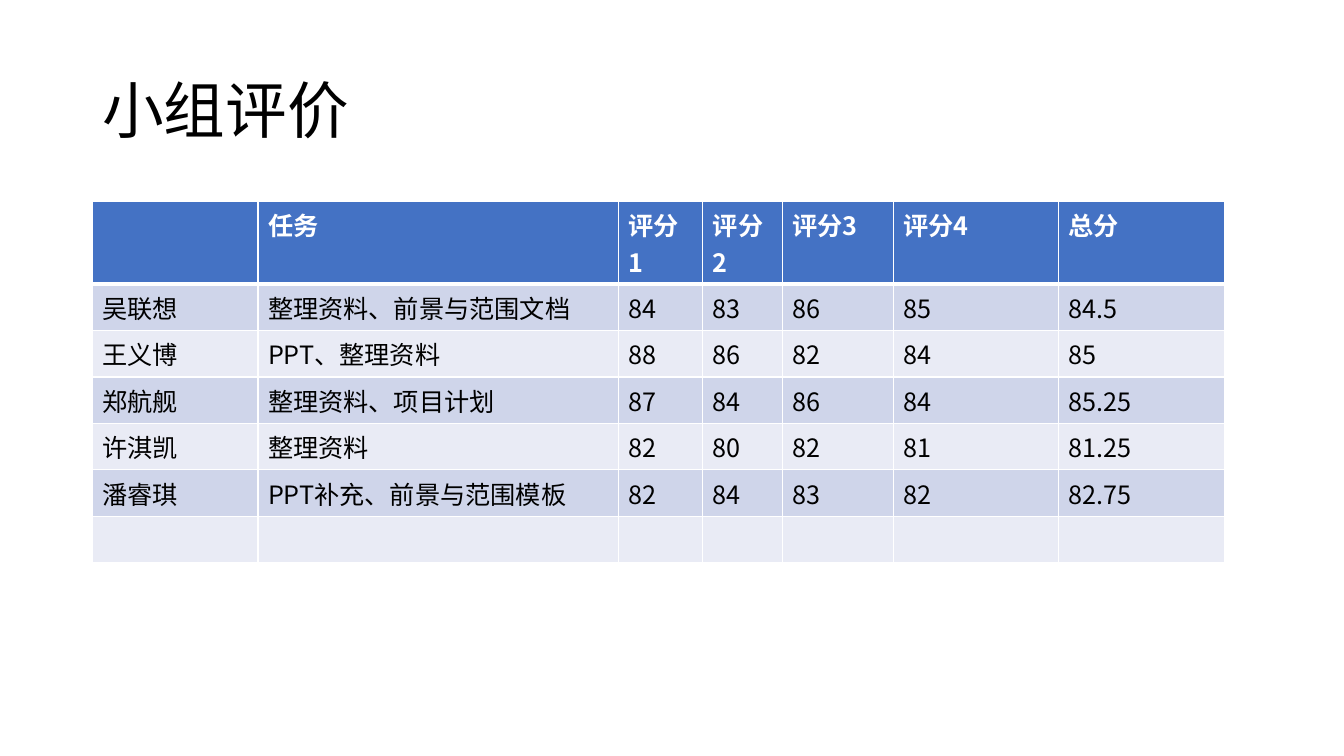
from lxml.etree import SubElement
from pptx import Presentation
from pptx.dml.color import RGBColor
from pptx.enum.text import MSO_ANCHOR
from pptx.oxml.ns import qn
from pptx.util import Cm, Pt

FONT = "Noto Sans CJK SC"
BLACK = RGBColor(0x00, 0x00, 0x00)
WHITE = RGBColor(0xFF, 0xFF, 0xFF)
BLUE = RGBColor(0x44, 0x72, 0xC4)
BANDS = (RGBColor(0xE9, 0xEB, 0xF5), RGBColor(0xCF, 0xD5, 0xEA))

WIDTHS = (4.17, 9.08, 2.13, 2.01, 2.79, 4.17, 4.17)
HEIGHTS = (2.08,) + (1.17,) * 6
ROWS = (
    ("", "任务", "评分1", "评分2", "评分3", "评分4", "总分"),
    ("吴联想", "整理资料、前景与范围文档", "84", "83", "86", "85", "84.5"),
    ("王义博", "PPT、整理资料", "88", "86", "82", "84", "85"),
    ("郑航舰", "整理资料、项目计划", "87", "84", "86", "84", "85.25"),
    ("许淇凯", "整理资料", "82", "80", "82", "81", "81.25"),
    ("潘睿琪", "PPT补充、前景与范围模板", "82", "84", "83", "82", "82.75"),
    ("",) * 7,
)


def write(frame, text, size, color, bold=False):
    run = frame.paragraphs[0].add_run()
    run.text = text
    style = {"name": FONT, "size": Pt(size), "bold": bold}
    for key, value in style.items():
        setattr(run.font, key, value)
    run.font.color.rgb = color
    # East Asian text takes its own typeface entry
    SubElement(run.font._element, qn("a:ea"), typeface=FONT)


def rule(cell, side, width):
    props = cell._tc.get_or_add_tcPr()
    line = SubElement(props, qn(f"a:ln{side}"), w=str(Pt(width)))
    fill = SubElement(line, qn("a:solidFill"))
    SubElement(fill, qn("a:srgbClr"), val=str(WHITE))


def add_title(slide, text):
    box = slide.shapes.add_textbox(Cm(2.33), Cm(1.02), Cm(29.21), Cm(3.68))
    frame = box.text_frame
    frame.word_wrap = True
    frame.vertical_anchor = MSO_ANCHOR.MIDDLE
    frame.paragraphs[0].line_spacing = 0.9
    write(frame, text, 44, BLACK)


def add_scores(slide):
    table = slide.shapes.add_table(
        len(ROWS), len(WIDTHS), Cm(2.33), Cm(5.08),
        Cm(sum(WIDTHS)), Cm(sum(HEIGHTS))).table
    for col, width in zip(table.columns, WIDTHS):
        col.width = Cm(width)
    for i, (row, texts) in enumerate(zip(table.rows, ROWS)):
        row.height = Cm(HEIGHTS[i])
        head = i == 0
        for cell, text in zip(row.cells, texts):
            # White rules, heavier under the header
            for side in "LRTB":
                heavy = (i, side) in ((0, "B"), (1, "T"))
                rule(cell, side, 3 if heavy else 1)
            cell.fill.solid()
            cell.fill.fore_color.rgb = BLUE if head else BANDS[i % 2]
            if text:
                write(cell.text_frame, text, 18, WHITE if head else BLACK, head)


def main():
    deck = Presentation()
    deck.slide_width, deck.slide_height = Cm(33.87), Cm(19.05)
    slide = deck.slides.add_slide(deck.slide_layouts[6])
    add_title(slide, "小组评价")
    add_scores(slide)
    deck.save("out.pptx")


if __name__ == "__main__":
    main()
